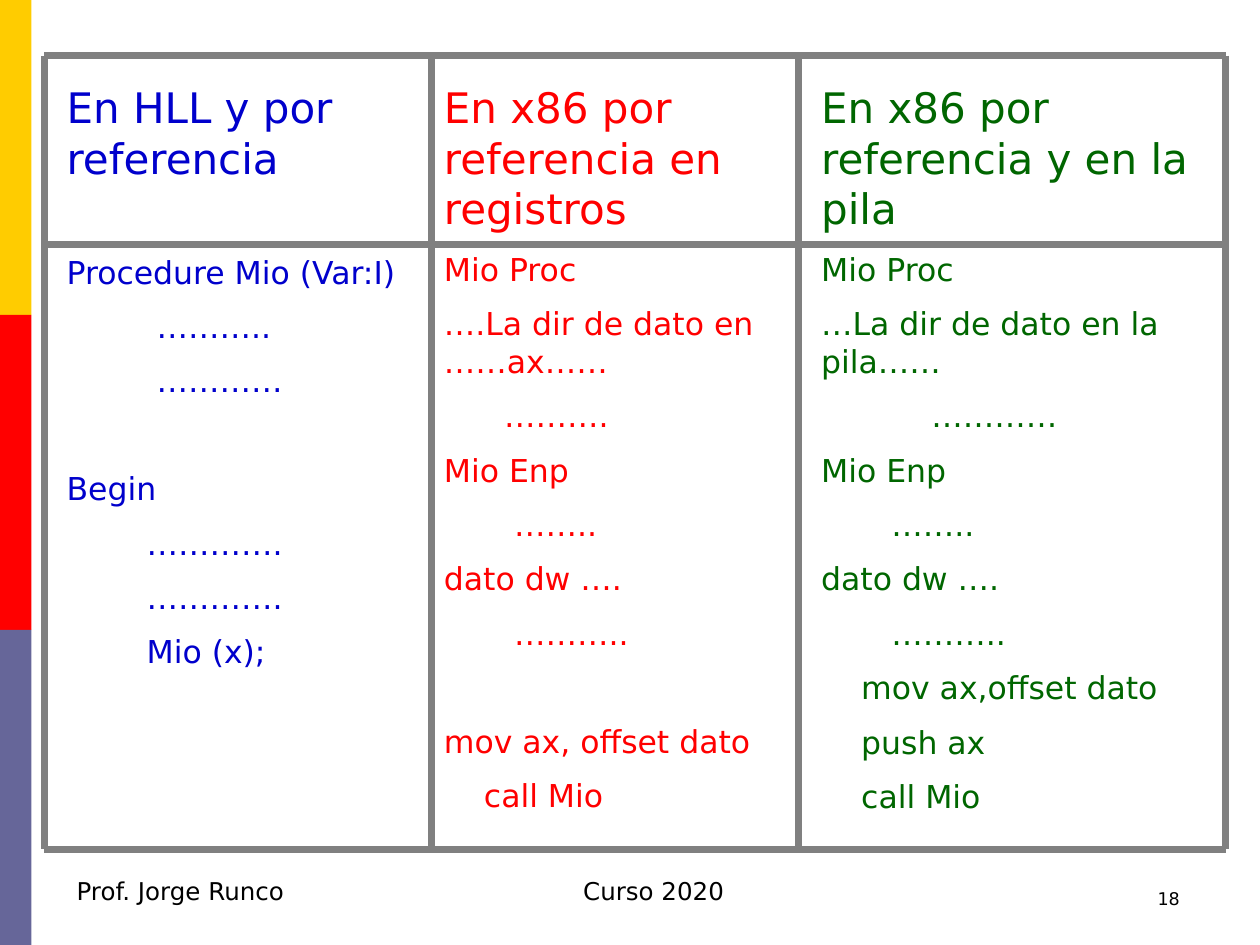
from dataclasses import dataclass

from lxml import etree
from pptx import Presentation
from pptx.dml.color import RGBColor
from pptx.enum.shapes import MSO_CONNECTOR, MSO_SHAPE
from pptx.enum.text import MSO_ANCHOR, PP_ALIGN
from pptx.oxml.ns import qn
from pptx.util import Pt

RECTANGLE = MSO_SHAPE.RECTANGLE
STRAIGHT = MSO_CONNECTOR.STRAIGHT
TOP = MSO_ANCHOR.TOP
LEFT, RIGHT = PP_ALIGN.LEFT, PP_ALIGN.RIGHT


@dataclass(frozen=True)
class Theme:
    font: str = "DejaVu Sans"
    heading: int = 24
    body: int = 18
    footer: int = 14
    number: int = 10
    rule_width: int = 4
    space_width: float = 5.72  # one space at body size
    space_before: float = 9.5
    blank_line: float = 30.5
    black: str = "000000"
    white: str = "FFFFFF"
    grey: str = "808080"
    blue: str = "0000CC"
    red: str = "FF0000"
    green: str = "006600"
    bands: tuple = ("FFCC00", "FF0000", "666699")


class SlideBuilder:
    def __init__(self, slide, theme):
        self.shapes = slide.shapes
        self.theme = theme

    def rectangle(self, left, top, width, height, fill):
        box = self.shapes.add_shape(RECTANGLE, Pt(left), Pt(top), Pt(width), Pt(height))
        box.shadow.inherit = False
        box.fill.solid()
        box.fill.fore_color.rgb = RGBColor.from_string(fill)
        box.line.fill.background()
        return box

    def rule(self, x1, y1, x2, y2):
        line = self.shapes.add_connector(STRAIGHT, Pt(x1), Pt(y1), Pt(x2), Pt(y2))
        line.line.color.rgb = RGBColor.from_string(self.theme.grey)
        line.line.width = Pt(self.theme.rule_width)
        etree.SubElement(line._element.spPr, qn("a:effectLst"))

    def style_text(self, para, text, size, color, align=LEFT):
        para.text = text
        para.alignment = align
        for span in para.runs:
            span.font.name = self.theme.font
            span.font.size = Pt(size)
            span.font.color.rgb = RGBColor.from_string(color)

    def label(self, left, top, width, height, text, size, align=LEFT):
        box = self.shapes.add_textbox(Pt(left), Pt(top), Pt(width), Pt(height))
        box.text_frame.word_wrap = True
        self.style_text(box.text_frame.paragraphs[0], text, size, self.theme.black, align)

    def column(self, left, top, width, height, color, heading, lines):
        """Each line is (indent in spaces, blank lines above, text)."""
        theme = self.theme
        frame = self.rectangle(left, top, width, height, theme.white).text_frame
        frame.word_wrap = True
        frame.vertical_anchor = TOP
        self.style_text(frame.paragraphs[0], heading, theme.heading, color)
        for indent, blanks, text in lines:
            para = frame.add_paragraph()
            self.style_text(para, text, theme.body, color)
            para.space_before = Pt(theme.space_before + blanks * theme.blank_line)
            if indent:
                properties = para._p.get_or_add_pPr()
                properties.set("marL", str(Pt(indent * theme.space_width)))
                properties.set("indent", "0")


HLL_LINES = [
    (0, 1, "Procedure Mio (Var:I)"),
    (9, 0, "……….."),
    (9, 0, "…………"),
    (0, 1, "Begin"),
    (8, 0, "…………."),
    (8, 0, "…………."),
    (8, 0, "Mio (x);"),
]
PROCEDURE_END = [
    (0, 0, "Mio Enp"),
    (7, 0, "…….."),
    (0, 0, "dato dw …."),
    (7, 0, "……….."),
]
REGISTER_LINES = [
    (0, 0, "Mio Proc"),
    (0, 0, "….La dir de dato en ……ax……"),
    (6, 0, "………."),
    *PROCEDURE_END,
    (0, 1, "mov ax, offset dato"),
    (4, 0, "call Mio"),
]
STACK_LINES = [
    (0, 0, "Mio Proc"),
    (0, 0, "…La dir de dato en la pila……"),
    (11, 0, "…………"),
    *PROCEDURE_END,
    (4, 0, "mov ax,offset dato"),
    (4, 0, "push ax"),
    (4, 0, "call Mio"),
]


def main():
    theme = Theme()
    deck = Presentation()
    deck.slide_width, deck.slide_height = Pt(720), Pt(540)
    page = SlideBuilder(deck.slides.add_slide(deck.slide_layouts[6]), theme)

    # Coloured bands on the left edge
    for index, color in enumerate(theme.bands):
        page.rectangle(0, index * 180, 18, 180, color)

    # Footer
    page.label(36.72, 496.8, 158.4, 24, "Prof. Jorge Runco", theme.footer)
    page.label(326.16, 496.8, 104, 24, "Curso 2020", theme.footer)
    page.label(513.4, 504, 167.8, 36, "18", theme.number, RIGHT)

    # Text columns
    columns = [
        (31, 221, 357, theme.blue, "En HLL y por referencia", HLL_LINES),
        (246.6, 215.6, 440, theme.red, "En x86 por referencia en registros", REGISTER_LINES),
        (462.2, 232.6, 440, theme.green, "En x86 por referencia y en la pila", STACK_LINES),
    ]
    for left, width, height, color, heading, lines in columns:
        page.column(left, 43.2, width, height, color, heading, lines)

    # Grid rules
    grid_x = (25.4, 246.8, 456.5, 700.4)
    grid_y = (31.8, 139.6, 485.4)
    for x in grid_x:
        page.rule(x, grid_y[0], x, grid_y[-1])
    for y in grid_y:
        page.rule(grid_x[0], y, grid_x[-1], y)

    deck.save("out.pptx")


if __name__ == "__main__":
    main()
